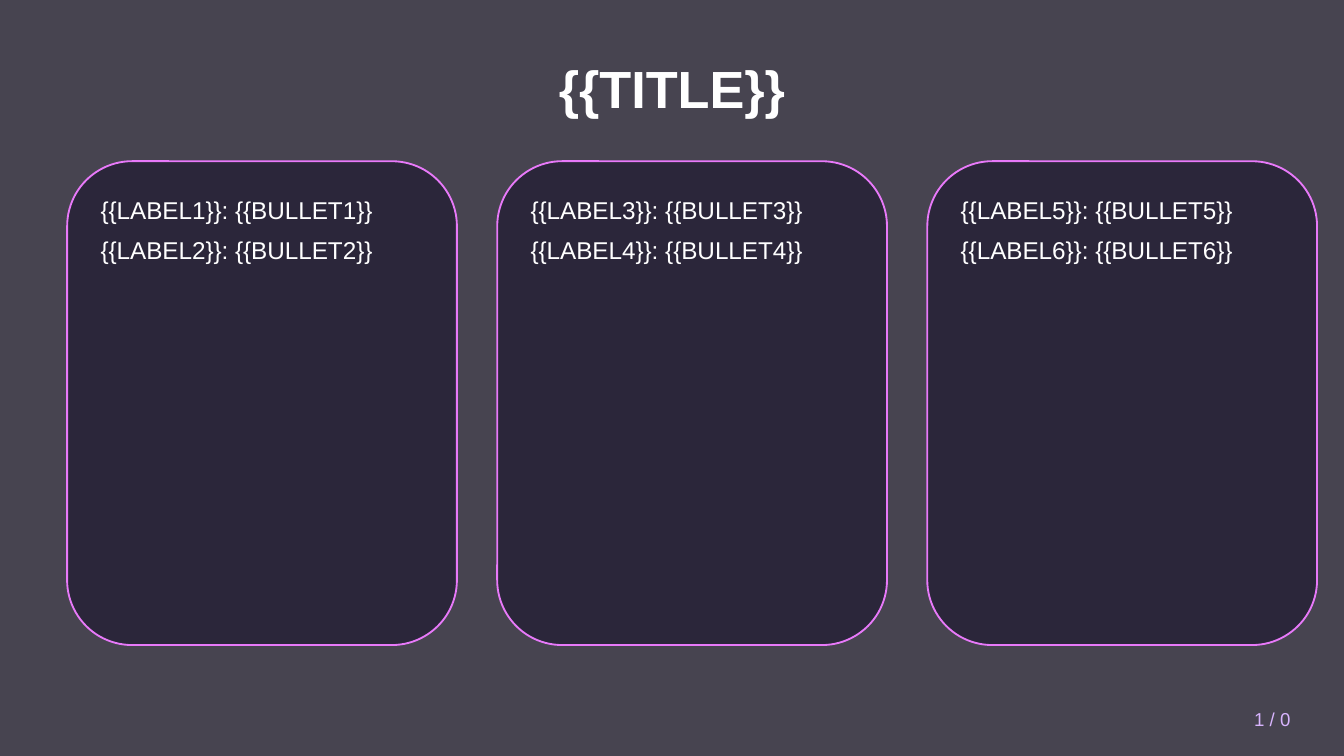
from pptx import Presentation
from pptx.dml.color import RGBColor
from pptx.enum import shapes, text
from pptx.oxml.ns import qn
from pptx.util import Pt
from lxml import etree

BACKDROP = RGBColor(0x1A, 0x16, 0x25)
CARD = RGBColor(0x25, 0x1F, 0x35)
BORDER = RGBColor(0xE8, 0x79, 0xF9)
WHITE = RGBColor(0xFF, 0xFF, 0xFF)
LILAC = RGBColor(0xD8, 0xB4, 0xFE)


def add_panel(kind, x, y, w, h, color):
    sp = s.shapes.add_shape(kind, Pt(x), Pt(y), Pt(w), Pt(h))
    sp.shadow.inherit = False
    sp.fill.solid()
    sp.fill.fore_color.rgb = color
    clr = sp.fill._xPr.find(qn("a:solidFill"))[0]
    etree.SubElement(clr, qn("a:alpha"), val="80000")
    sp.line.fill.background()
    return sp


def set_text(sp, content, size, color, align, anchor):
    tf = sp.text_frame
    tf.text = content
    tf.word_wrap = True
    tf.auto_size = text.MSO_AUTO_SIZE.NONE
    tf.vertical_anchor = anchor
    for p in tf.paragraphs:
        p.alignment = align
        for r in p.runs:
            r.font.name = "Arial"
            r.font.size = Pt(size)
            r.font.color.rgb = color
    return tf


prs = Presentation()
prs.slide_width, prs.slide_height = Pt(720), Pt(405)
s = prs.slides.add_slide(prs.slide_layouts[5])

backdrop = add_panel(shapes.MSO_SHAPE.RECTANGLE, 0, 0, 720, 405, BACKDROP)
title = s.shapes.title
backdrop._element.addnext(title._element)
title.left, title.top, title.width, title.height = Pt(36), Pt(21.6), Pt(648), Pt(50.4)
tf = set_text(title, "{{TITLE}}", 28, WHITE, text.PP_ALIGN.CENTER, text.MSO_ANCHOR.MIDDLE)
tf.paragraphs[0].runs[0].font.bold = True

for i in range(3):
    x = 36 + i * 230.4
    card = add_panel(shapes.MSO_SHAPE.ROUNDED_RECTANGLE, x, 86.4, 208.8, 259.2, CARD)
    card.line.color.rgb = BORDER
    card.line.width = Pt(1)
    sp = s.shapes.add_textbox(Pt(x + 10.8), Pt(100.8), Pt(187.2), Pt(230.4))
    content = "\n".join(f"{{{{LABEL{n}}}}}: {{{{BULLET{n}}}}}" for n in (2 * i + 1, 2 * i + 2))
    tf = set_text(sp, content, 13, WHITE, text.PP_ALIGN.LEFT, text.MSO_ANCHOR.TOP)
    for p in tf.paragraphs:
        p.space_after = Pt(6)

sp = s.shapes.add_textbox(Pt(612), Pt(374.4), Pt(86.4), Pt(21.6))
set_text(sp, "1 / 0", 10, LILAC, text.PP_ALIGN.RIGHT, text.MSO_ANCHOR.MIDDLE)

prs.save("out.pptx")
